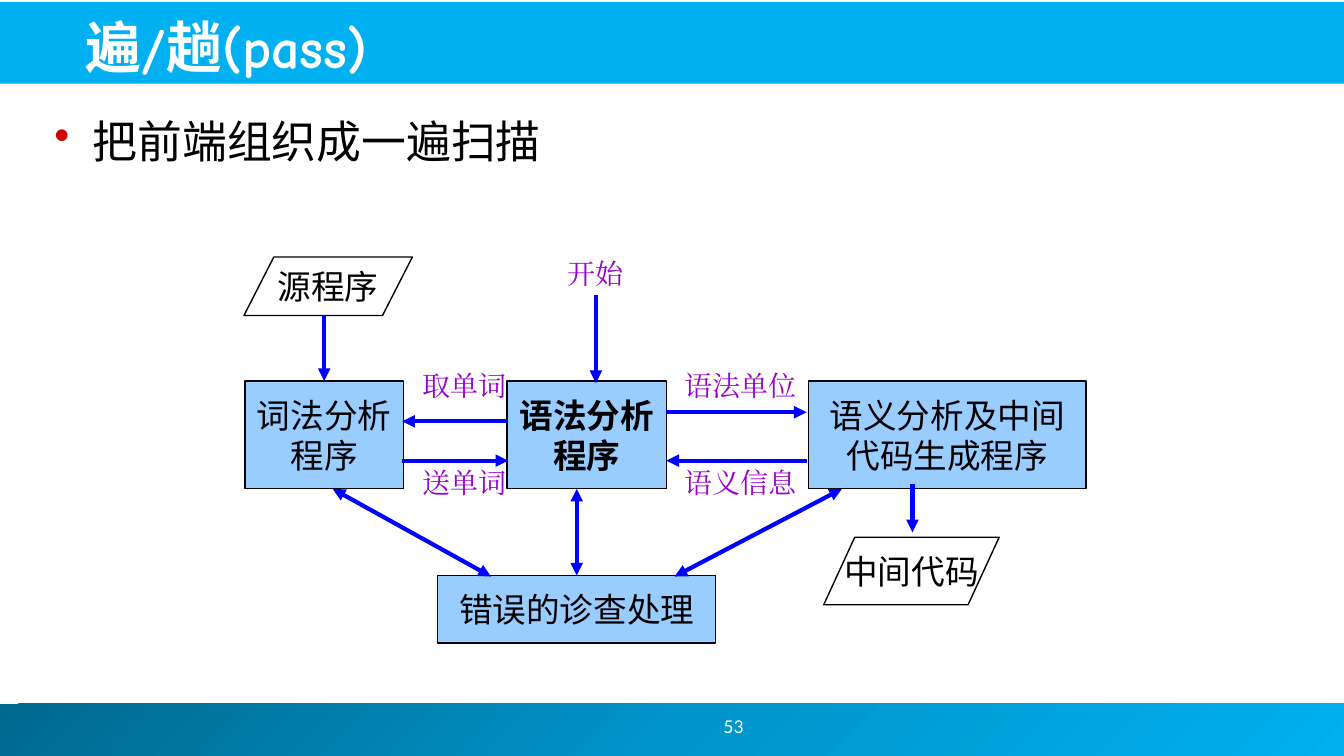
from copy import deepcopy
from dataclasses import dataclass
from typing import Optional

from pptx import Presentation, util as u
from pptx.dml.color import RGBColor
from pptx.enum import shapes as kinds, text as t
from pptx.oxml.ns import qn
from pptx.oxml.xmlchemy import OxmlElement

COLUMN = ROW = u.Inches(0.1)
CJK = "Noto Sans CJK JP"
BLACK, WHITE, SKY, BOX_BLUE = "000000", "FFFFFF", "00B0F0", "99CCFF"
ARROW_BLUE, PURPLE, RED = "0000FF", "9900CC", "CC0000"
FOOTER_STOPS = ((0, "00688E"), (0.5, "0094CA"), (1, SKY))
RECT = kinds.MSO_SHAPE.RECTANGLE
SLANTED = kinds.MSO_SHAPE.PARALLELOGRAM
TOP = 0


@dataclass(frozen=True)
class Area:
    """A place on the slide in grid columns and rows."""
    col: float
    row: float
    cols: float
    rows: float

    def emu(self) -> tuple[int, int, int, int]:
        return (round(self.col * COLUMN), round(self.row * ROW),
                round(self.cols * COLUMN), round(self.rows * ROW))


@dataclass(frozen=True)
class Style:
    size: float
    color: str
    latin: str
    asian: str
    bold: bool = False


@dataclass(frozen=True)
class Node:
    wording: str
    area: Area
    slant: Optional[float] = None
    bold: bool = False


@dataclass(frozen=True)
class Flow:
    start: tuple[float, float]
    end: tuple[float, float]
    two_way: bool = False
    into: Optional[str] = None


TITLE = Style(40, WHITE, "Comic Neue", "Comic Neue", True)
BULLET = Style(32, BLACK, CJK, CJK)
LABEL = Style(20, PURPLE, "Times New Roman", "Times New Roman")
NUMBER = Style(14, WHITE, "Calibri", "Calibri")

NODES = {
    "source": Node("源程序", Area(24.2, 25.5, 16.7, 5.8), slant=0.51),
    "lexer": Node("词法分析\n程序", Area(24.3, 37.8, 15.7, 10.7)),
    "parser": Node("语法分析\n程序", Area(50.3, 37.8, 15.8, 10.7), bold=True),
    "semantics": Node("语义分析及中间\n代码生成程序", Area(80.2, 37.8, 27.5, 10.7)),
    "code": Node("中间代码", Area(81.7, 53.3, 17.4, 6.7), slant=0.46),
    "errors": Node("错误的诊查处理", Area(43.4, 57.1, 27.6, 6.7)),
}
LABELS = (
    ("开始", Area(54.7, 25, 8.7, 4.4)),
    ("取单词", Area(39.9, 36.1, 12.4, 4.4)),
    ("送单词", Area(39.9, 45.7, 12.4, 4.4)),
    ("语法单位", Area(66.1, 36.1, 14.7, 4.4)),
    ("语义信息", Area(66.1, 45.7, 14.7, 4.4)),
)
FLOWS = (
    Flow((32.15, 31.3), (32.15, 37.8), into="lexer"),
    Flow((59.1, 29.3), (59.1, 38)),
    Flow((50.4, 41.8), (39.9, 41.8)),
    Flow((39.9, 45.7), (50.4, 45.7)),
    Flow((66.1, 40.9), (80, 40.9)),
    Flow((80, 45.7), (66.1, 45.7)),
    Flow((90.5, 48), (90.5, 52.8)),
    Flow((33, 48.5), (48.7, 57.2), two_way=True),
    Flow((57.2, 48.5), (57.2, 57.1), two_way=True, into="errors"),
    Flow((83.5, 48.5), (66.9, 57.2), two_way=True),
)


def rgb(code: str) -> RGBColor:
    return RGBColor.from_string(code)


def write(frame, wording: str, style: Style, align=t.PP_ALIGN.CENTER,
          anchor=t.MSO_ANCHOR.TOP, wrap: bool = True) -> None:
    frame.text = wording
    frame.word_wrap = wrap
    frame.auto_size = t.MSO_AUTO_SIZE.NONE
    frame.vertical_anchor = anchor
    for paragraph in frame.paragraphs:
        paragraph.alignment = align
        for run in paragraph.runs:
            run.font.size = u.Pt(style.size)
            run.font.bold = style.bold
            run.font.name = style.latin
            run.font.color.rgb = rgb(style.color)
            asian = OxmlElement("a:ea")
            asian.set("typeface", style.asian)
            run.font._element.find(qn("a:latin")).addnext(asian)


def add_text(slide, wording: str, area: Area, style: Style, **layout):
    box = slide.shapes.add_textbox(*area.emu())
    write(box.text_frame, wording, style, **layout)
    return box


def add_band(slide, area: Area):
    """Add a borderless full-width bar behind the title."""
    band = slide.shapes.add_shape(RECT, *area.emu())
    band.shadow.inherit = False
    band.line.fill.background()
    slide.shapes.title.element.addprevious(band.element)
    return band


def fill_footer(band) -> None:
    band.fill.gradient()
    band.fill.gradient_angle = 315
    stop_list = next(band.element.iter(qn("a:gsLst")))
    stop_list.insert(1, deepcopy(stop_list[0]))
    for stop, (position, color) in zip(band.fill.gradient_stops, FOOTER_STOPS):
        stop.position = position
        stop.color.rgb = rgb(color)


def add_node(slide, node: Node):
    is_data = node.slant is not None
    shape = slide.shapes.add_shape(SLANTED if is_data else RECT, *node.area.emu())
    shape.shadow.inherit = False
    shape.line.color.rgb = rgb(BLACK)
    shape.line.width = u.Pt(1)
    if is_data:
        shape.adjustments[0] = node.slant
        shape.fill.background()
    else:
        shape.fill.solid()
        shape.fill.fore_color.rgb = rgb(BOX_BLUE)
    write(shape.text_frame, node.wording, Style(24, BLACK, "Noto Sans", CJK, node.bold),
          anchor=t.MSO_ANCHOR.MIDDLE, wrap=False)
    for paragraph in shape.text_frame.paragraphs:
        paragraph.line_spacing = u.Pt(28.5)
    return shape


def add_flow(slide, flow: Flow, drawn: dict) -> None:
    ends = [round(value * COLUMN) for value in flow.start + flow.end]
    arrow = slide.shapes.add_connector(kinds.MSO_CONNECTOR.STRAIGHT, *ends)
    if flow.into:
        arrow.end_connect(drawn[flow.into], TOP)
    arrow.line.color.rgb = rgb(ARROW_BLUE)
    arrow.line.width = u.Pt(3)
    for tag in ("a:headEnd", "a:tailEnd")[0 if flow.two_way else 1:]:
        tip = OxmlElement(tag)
        tip.set("type", "triangle")
        arrow.line._get_or_add_ln().append(tip)
    arrow.element.spPr.append(OxmlElement("a:effectLst"))


def add_bullet(paragraph) -> None:
    props = paragraph._p.get_or_add_pPr()
    props.set("marL", str(u.Inches(0.38)))
    props.set("indent", str(-u.Inches(0.38)))
    color = OxmlElement("a:buClr")
    shade = OxmlElement("a:srgbClr")
    shade.set("val", RED)
    color.append(shade)
    mark = OxmlElement("a:buChar")
    mark.set("char", "•")
    props.extend((color, mark))


def main() -> None:
    deck = Presentation()
    deck.slide_width, deck.slide_height = u.Inches(13.33), u.Inches(7.5)
    slide = deck.slides.add_slide(deck.slide_layouts[5])

    fill_footer(add_band(slide, Area(-0.5, 69.8, 133.9, 5.2)))
    header = add_band(slide, Area(-0.2, 0.2, 133.6, 8.1))
    header.fill.solid()
    header.fill.fore_color.rgb = rgb(SKY)

    title = slide.shapes.title
    title.left, title.top, title.width, title.height = Area(7.5, 0.5, 121.4, 7.9).emu()
    write(title.text_frame, "遍/趟(pass)", TITLE, t.PP_ALIGN.LEFT, t.MSO_ANCHOR.BOTTOM)

    topic = add_text(slide, "把前端组织成一遍扫描", Area(4.4, 10.8, 124.4, 10.8), BULLET,
                     align=t.PP_ALIGN.LEFT)
    add_bullet(topic.text_frame.paragraphs[0])
    add_text(slide, "53", Area(58.3, 69.5, 28.9, 5), NUMBER, anchor=t.MSO_ANCHOR.MIDDLE)

    drawn = {key: add_node(slide, node) for key, node in NODES.items()}
    for wording, area in LABELS:
        add_text(slide, wording, area, LABEL)
    for flow in FLOWS:
        add_flow(slide, flow, drawn)
    deck.save("out.pptx")


if __name__ == "__main__":
    main()
